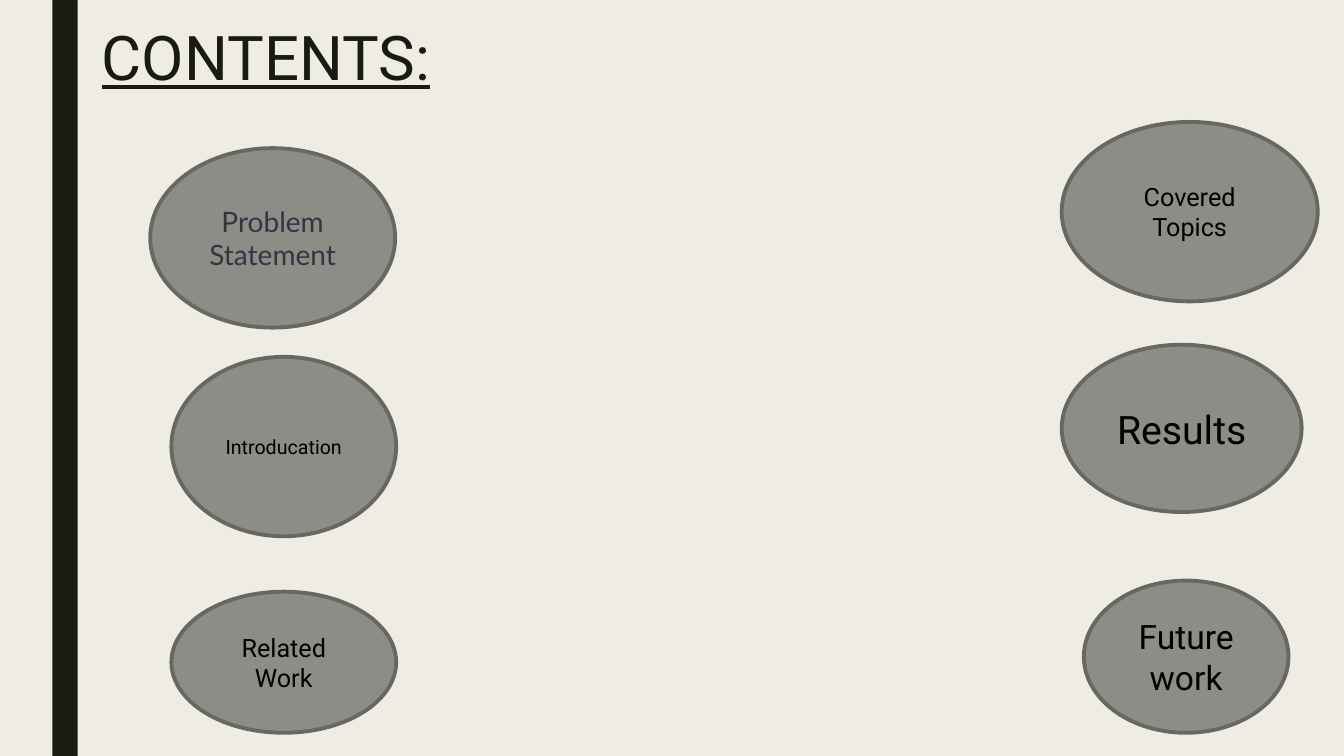
"""Build the contents slide with six topic ellipses."""
from pptx import Presentation
from pptx.dml.color import RGBColor
from pptx.enum.shapes import MSO_SHAPE as Shape
from pptx.enum.text import MSO_ANCHOR as Anchor, MSO_AUTO_SIZE as AutoSize, PP_ALIGN as Align
from pptx.util import Inches, Pt


def paint(color_format, value):
    """Apply a hex colour to a solid fill or font colour."""
    color_format.rgb = RGBColor.from_string(value)


def add_text(para, text, size, font, color):
    """Add one formatted run and return it."""
    span = para.add_run()
    span.text = text
    span.font.size = Pt(size)
    span.font.name = font
    paint(span.font.color, color)
    return span


deck = Presentation()
deck.slide_width, deck.slide_height = Inches(13.33), Inches(7.5)
page = deck.slides.add_slide(deck.slide_layouts[5])
page.background.fill.solid()
paint(page.background.fill.fore_color, "EFEDE3")

bar = page.shapes.add_shape(Shape.RECTANGLE, Inches(0.52), 0, Inches(0.25), Inches(7.5))
bar.shadow.inherit = False
bar.fill.solid()
paint(bar.fill.fore_color, "191B0E")
bar.line.fill.background()

title = page.shapes.title
title.left, title.top = Inches(0.91), Inches(0.23)
title.width, title.height = Inches(10.5), Inches(1.62)
title.text_frame.vertical_anchor = Anchor.TOP
title.text_frame.auto_size = AutoSize.NONE
para = title.text_frame.paragraphs[0]
para.alignment = Align.LEFT
para.line_spacing = 0.89
add_text(para, "CONTENTS:", 44, "Roboto", "191B0E").font.underline = True

topics = [
    ("Problem Statement", 1.49, 1.47, 2.43, 1.78, 20, "Lato", "343541"),
    ("Introducation", 1.7, 3.54, 2.23, 1.78, 14, "Roboto", "000000"),
    ("Related Work", 1.7, 5.87, 2.23, 1.4, 18, "Roboto", "000000"),
    ("Future work", 10.75, 5.76, 2.03, 1.51, 24, "Roboto", "000000"),
    ("Results", 10.53, 3.42, 2.38, 1.66, 28, "Roboto", "000000"),
    ("Covered Topics", 10.53, 1.21, 2.54, 1.78, 18, "Roboto", "000000"),
]
for text, left, top, width, height, size, font, color in topics:
    ellipse = page.shapes.add_shape(
        Shape.OVAL, Inches(left), Inches(top), Inches(width), Inches(height))
    ellipse.shadow.inherit = False
    ellipse.fill.solid()
    paint(ellipse.fill.fore_color, "8C8D86")
    paint(ellipse.line.color, "686863")
    ellipse.line.width = Pt(2.75)
    frame = ellipse.text_frame
    frame.word_wrap = True
    frame.vertical_anchor = Anchor.MIDDLE
    para = frame.paragraphs[0]
    para.alignment = Align.CENTER
    add_text(para, text, size, font, color)

deck.save("out.pptx")
